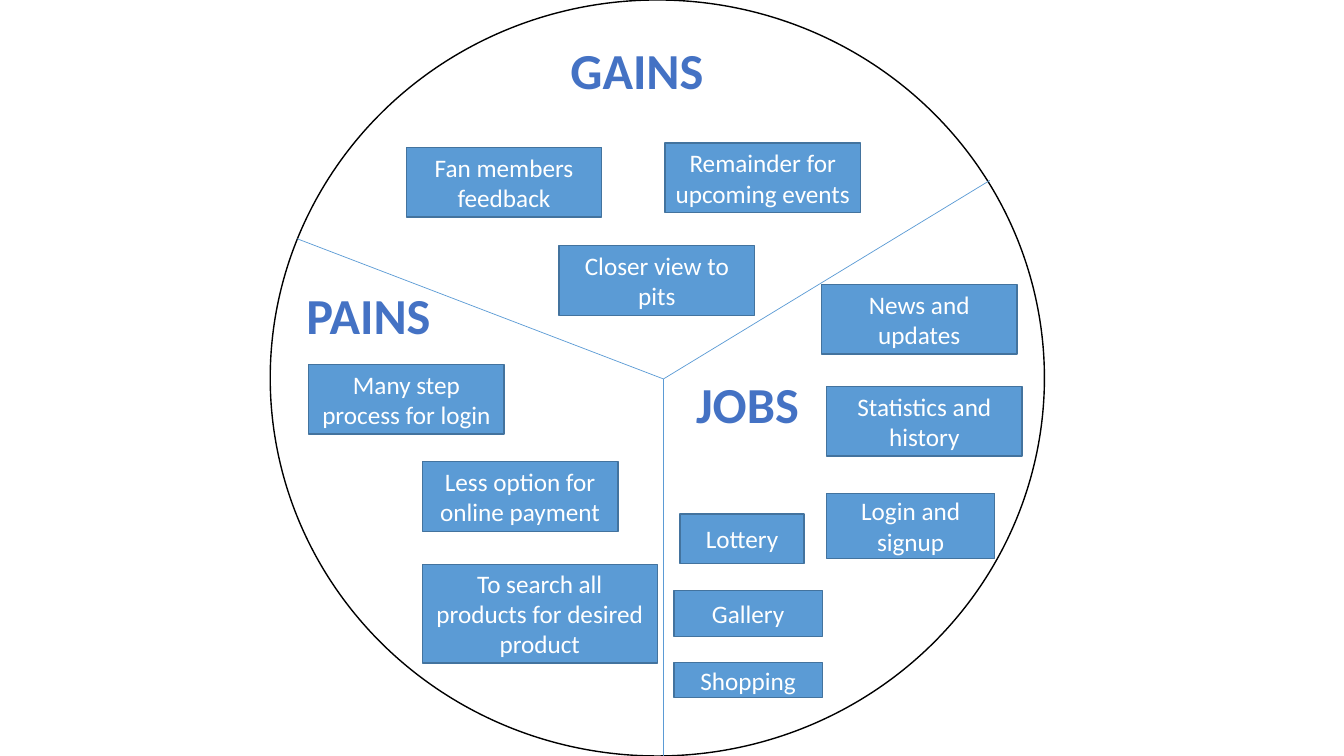
from lxml.etree import SubElement
from pptx import Presentation
from pptx.dml.color import RGBColor
from pptx.enum.shapes import MSO_CONNECTOR as Connector, MSO_SHAPE as Shape
from pptx.enum.text import MSO_ANCHOR as Anchor, MSO_AUTO_SIZE as AutoSize, PP_ALIGN as Align
from pptx.oxml.ns import qn
from pptx.util import Pt

WHITE, BLACK = "FFFFFF", "000000"
NOTE_FILL, NOTE_EDGE, HEADING = "5B9BD5", "43739E", "4472C4"
CENTER = (473.9, 270.7)
RIM_POINTS = [(212.4, 170.6), (707, 128.9), (473.9, 540)]
NOTE_SIZE = (139.7, 49.7)

HEADINGS = [
    ("GAINS", 399.6, 24.5, 110.9),
    ("PAINS", 211, 199.4, 104.4),
    ("JOBS", 489.6, 262.8, 88.6),
]
NOTES = [
    ("Fan members feedback", 290.2, 105.3, NOTE_SIZE),
    ("Remainder for upcoming events", 475, 102.2, NOTE_SIZE),
    ("Closer view to pits", 399.4, 175.5, NOTE_SIZE),
    ("Many step process for login", 220.5, 260.4, NOTE_SIZE),
    ("Less option for online payment", 301.7, 329.8, NOTE_SIZE),
    ("To search all products for desired product", 301.7, 403, (167.8, 70.6)),
    ("News and updates", 586.8, 203.2, NOTE_SIZE),
    ("Statistics and history", 590.4, 276, NOTE_SIZE),
    ("Login and signup", 590.4, 352.3, (120.2, 46.8)),
    ("Lottery", 485.8, 367.2, (88.6, 35.3)),
    ("Gallery", 481.4, 421.7, (106, 33.1)),
    ("Shopping", 481.4, 473.2, (106, 25)),
]


def color(code):
    return RGBColor.from_string(code)


def add_panel(page, kind, left, top, size, fill, edge):
    panel = page.shapes.add_shape(kind, Pt(left), Pt(top), *map(Pt, size))
    panel.shadow.inherit = False
    panel.fill.solid()
    panel.fill.fore_color.rgb = color(fill)
    panel.line.color.rgb = color(edge)
    panel.line.width = Pt(1)
    return panel


def write_text(box, text, size, ink, bold=False):
    box.text_frame.text = text
    para = box.text_frame.paragraphs[0]
    para.alignment = Align.CENTER
    para.font.name = "Calibri"
    para.font.size = Pt(size)
    para.font.bold = bold
    para.font.color.rgb = color(ink)
    return para


def add_note(page, text, left, top, size):
    note = add_panel(page, Shape.RECTANGLE, left, top, size, NOTE_FILL, NOTE_EDGE)
    note.text_frame.word_wrap = True
    note.text_frame.vertical_anchor = Anchor.MIDDLE
    write_text(note, text, 18, WHITE)


def add_heading(page, text, left, top, width):
    box = page.shapes.add_textbox(Pt(left), Pt(top), Pt(width), Pt(50.9))
    box.text_frame.word_wrap = False
    box.text_frame.auto_size = AutoSize.SHAPE_TO_FIT_TEXT
    para = write_text(box, text, 36, HEADING, bold=True)
    properties = para.runs[0]._r.get_or_add_rPr()
    outline = SubElement(properties, qn("a:ln"), w=str(Pt(0.75)))
    paint = SubElement(outline, qn("a:solidFill"))
    SubElement(paint, qn("a:srgbClr"), val=WHITE)


def add_divider(page, start, end):
    divider = page.shapes.add_connector(Connector.STRAIGHT, *map(Pt, start + end))
    divider.line.color.rgb = color(NOTE_FILL)
    divider.line.width = Pt(0.5)
    SubElement(divider._element.spPr, qn("a:effectLst"))


def main():
    deck = Presentation()
    deck.slide_width, deck.slide_height = Pt(960), Pt(540)
    page = deck.slides.add_slide(deck.slide_layouts[6])
    add_panel(page, Shape.FLOWCHART_CONNECTOR, 193, 0, (553, 540), WHITE, BLACK)
    for rim_point in RIM_POINTS:
        add_divider(page, CENTER, rim_point)
    for note in NOTES:
        add_note(page, *note)
    for heading in HEADINGS:
        add_heading(page, *heading)
    deck.save("out.pptx")


main()
